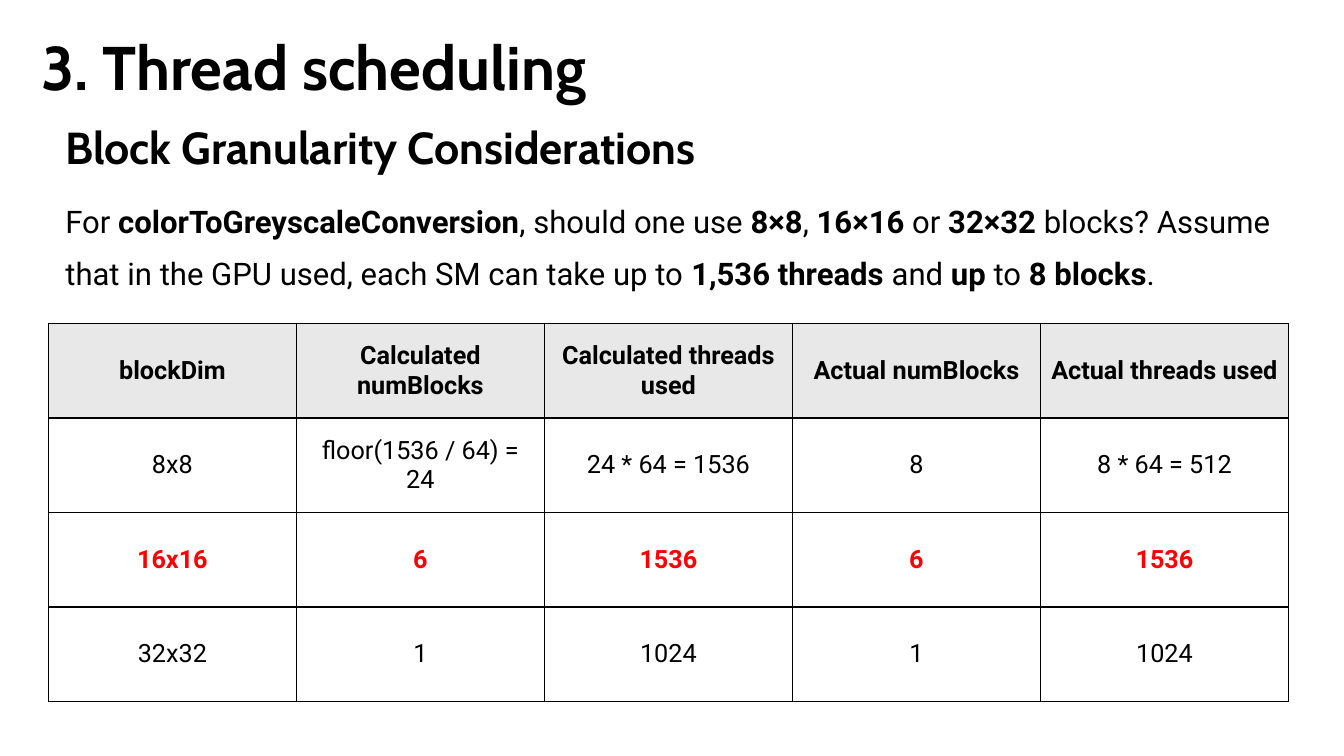
from lxml import etree
from pptx import Presentation
from pptx.dml.color import RGBColor
from pptx.enum.text import MSO_ANCHOR as Anchor, PP_ALIGN as Align
from pptx.oxml.ns import qn
from pptx.util import Inches, Pt

BLACK = RGBColor(0x00, 0x00, 0x00)
RED = RGBColor(0xFF, 0x00, 0x00)
GREY = RGBColor(0xE8, 0xE8, 0xE8)


def add_span(para, text, color=BLACK, **formats):
    span = para.add_run()
    span.text = text
    span.font.color.rgb = color
    for name, value in formats.items():
        setattr(span.font, name, value)


def add_borders(cell):
    properties = cell._tc.get_or_add_tcPr()
    for index, side in enumerate(("lnL", "lnR", "lnT", "lnB")):
        line = etree.Element(qn(f"a:{side}"), w=str(Pt(1)))
        fill = etree.SubElement(line, qn("a:solidFill"))
        etree.SubElement(fill, qn("a:srgbClr"), val=str(BLACK))
        properties.insert(index, line)


deck = Presentation()
deck.slide_width = Inches(13.33)
deck.slide_height = Inches(7.5)
page = deck.slides.add_slide(deck.slide_layouts[6])

question = [
    ("For ", False),
    ("colorToGreyscaleConversion", True),
    (", should one use ", False),
    ("8×8", True),
    (", ", False),
    ("16×16", True),
    (" or ", False),
    ("32×32", True),
    (" blocks? Assume that in the GPU used, each SM can take up to ", False),
    ("1,536 threads ", True),
    ("and ", False),
    ("up", True),
    (" to ", False),
    ("8 blocks", True),
    (".", False),
]
texts = [
    ((0.31, 0.32, 11.5, 0.77), 0.9, "Cabin", 44, [("3. Thread scheduling", True)]),
    ((0.55, 1.03, 9.4, 0.92), 0.9, "Cabin", 32, [("Block Granularity Considerations", True)]),
    ((0.55, 1.81, 12.23, 1.13), 1.4, "Roboto", 22.2, question),
]
for place, spacing, font, size, spans in texts:
    box = page.shapes.add_textbox(*map(Inches, place))
    frame = box.text_frame
    frame.word_wrap = True
    frame.vertical_anchor = Anchor.MIDDLE
    para = frame.paragraphs[0]
    para.line_spacing = spacing
    for text, bold in spans:
        add_span(para, text, name=font, size=Pt(size), bold=bold)

rows = [
    ["blockDim", "Calculated numBlocks", "Calculated threads used",
     "Actual numBlocks", "Actual threads used"],
    ["8x8", "floor(1536 / 64) = 24", "24 * 64 = 1536", "8", "8 * 64 = 512"],
    ["16x16", "6", "1536", "6", "1536"],
    ["32x32", "1", "1024", "1", "1024"],
]
HEADER_ROW, BEST_ROW = 0, 2
table = page.shapes.add_table(
    len(rows), len(rows[0]), Inches(0.48), Inches(3.21), Inches(12.3), Inches(3.75)
).table
table.horz_banding = False
for row_index, values in enumerate(rows):
    for column_index, value in enumerate(values):
        cell = table.cell(row_index, column_index)
        cell.vertical_anchor = Anchor.MIDDLE
        if row_index == HEADER_ROW:
            cell.fill.solid()
            cell.fill.fore_color.rgb = GREY
        else:
            cell.fill.background()
        add_borders(cell)
        para = cell.text_frame.paragraphs[0]
        para.alignment = Align.CENTER
        add_span(para, value, RED if row_index == BEST_ROW else BLACK,
                 name="Roboto", size=Pt(18), bold=row_index in (HEADER_ROW, BEST_ROW))

deck.save("out.pptx")
